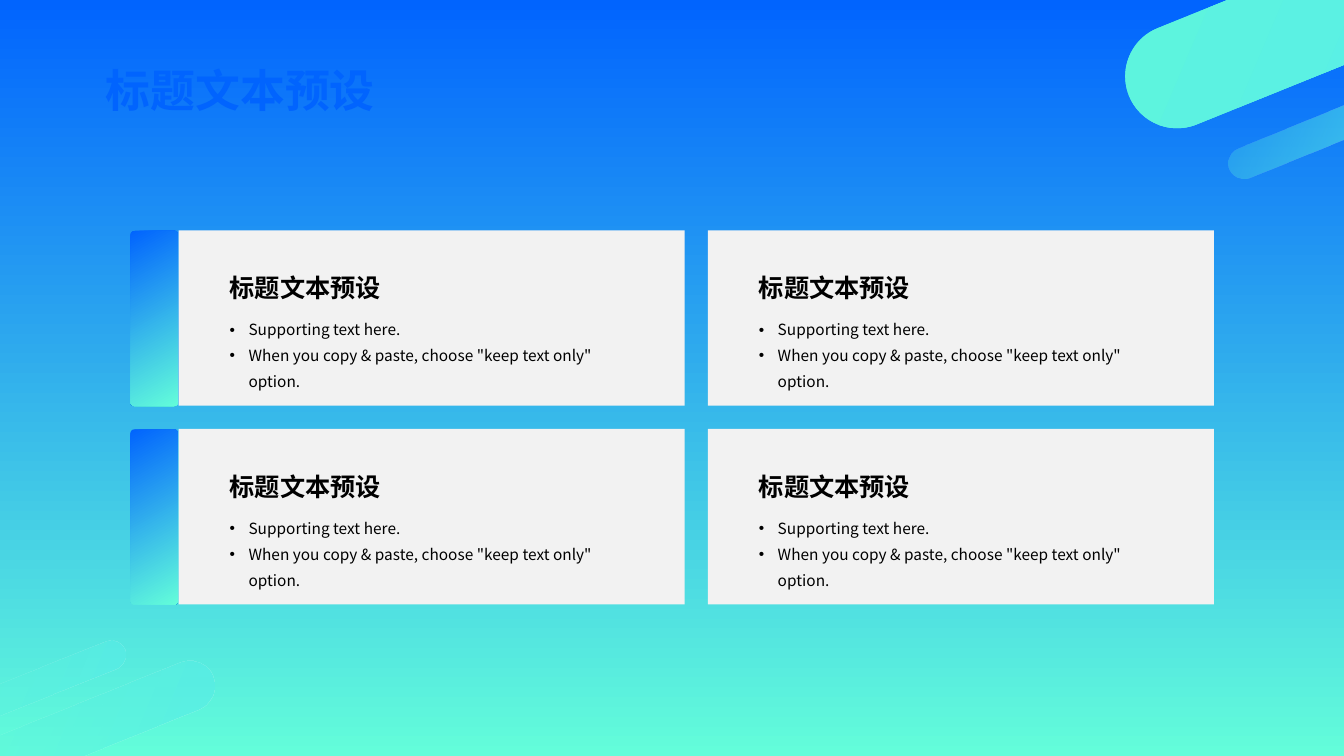
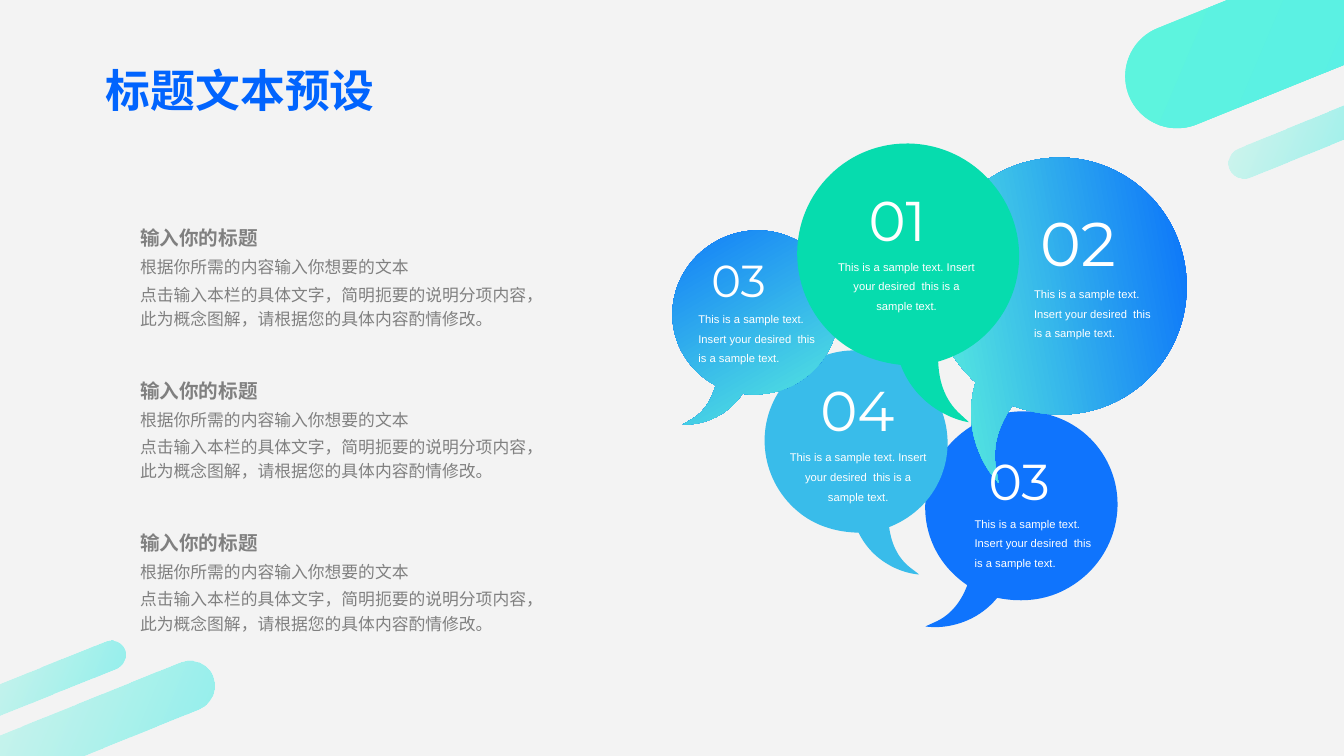
"""Build two slides: a grid of four cards and a cluster of speech bubbles."""
from dataclasses import dataclass
from itertools import product
from typing import NamedTuple, Optional, Sequence, Union

from lxml.etree import Element, SubElement
from pptx import Presentation
from pptx.dml.color import RGBColor
from pptx.enum.shapes import MSO_SHAPE
from pptx.enum.text import MSO_ANCHOR, MSO_AUTO_SIZE, PP_ALIGN
from pptx.oxml.ns import qn
from pptx.util import Emu, Length, Pt

COLUMNS, ROWS = 160, 90
CELL = 76200

BLUE, MINT, WHITE = "0164FE", "63FDDA", "FFFFFF"
CJK = "Noto Sans CJK SC"
TITLE = "标题文本预设"
CARD_POINTS = ("Supporting text here.",
               'When you copy & paste, choose "keep text only" option.')
SAMPLE = "This is a sample text. Insert your desired  this is a sample text."
TOPIC = (
    "输入你的标题",
    "根据你所需的内容输入你想要的文本",
    "点击输入本栏的具体文字，简明扼要的说明分项内容，"
    "此为概念图解，请根据您的具体内容酌情修改。",
)


class Box(NamedTuple):
    left: float
    top: float
    width: float
    height: float

    def emu(self) -> list[Length]:
        return [cells(value) for value in self]

    def shifted(self, right: float, down: float) -> "Box":
        return self._replace(left=self.left + right, top=self.top + down)


class Gradient(NamedTuple):
    start: str
    end: str
    angle: float
    opacities: Optional[tuple[int, int]] = None


Paint = Union[str, Gradient]


@dataclass(frozen=True)
class Style:
    size: float
    color: str
    font: str = CJK
    bold: bool = False
    spacing: Union[float, Length, None] = None
    before: float = 0
    align: PP_ALIGN = PP_ALIGN.LEFT
    bullet: bool = False


@dataclass(frozen=True)
class Pill:
    box: Box
    paint: Gradient


@dataclass(frozen=True)
class Bubble:
    number: str
    box: Box
    rotation: float
    paint: Paint
    number_at: tuple[float, float]
    number_size: int
    sample_at: tuple[float, float]
    centered: bool = False
    mirrored: bool = False


SOLID_PILL = Gradient("5EF5DC", "58EDEA", 45)
FADED_PILL = SOLID_PILL._replace(opacities=(20, 66))
PILLS = (
    Pill(Box(132.72, -3.48, 46.44, 12.36), SOLID_PILL),
    Pill(Box(145.68, 14.4, 20.4, 3.72), FADED_PILL),
    Pill(Box(-5.4, 83.52, 31.92, 6), FADED_PILL),
    Pill(Box(-4.56, 79.32, 20.16, 3.48), FADED_PILL),
)
DOWNWARD = Gradient(BLUE, MINT, 90)
BAR_PAINT = Gradient(BLUE, MINT, 150)

BUBBLES = (
    Bubble("03", Box(105.48, 50.04, 27.84, 22.44), 335.5, "0F74FD",
           (116.52, 53.04), 36, (114.84, 60.24), mirrored=True),
    Bubble("02", Box(108.12, 22.08, 37.08, 30.36), 79.9, DOWNWARD,
           (122.64, 23.76), 44, (121.92, 32.88)),
    Bubble("04", Box(90.48, 43.2, 26.52, 21.6), 37.4, "39BCEA",
           (96.48, 44.16), 40, (92.76, 52.32), centered=True),
    Bubble("03", Box(76.08, 28.56, 24.12, 19.44), 330, DOWNWARD,
           (83.52, 29.52), 32, (81.96, 35.88), mirrored=True),
    Bubble("01", Box(94.08, 19.08, 32.16, 26.28), 42.8, "06DCAE",
           (102.24, 21.48), 40, (98.52, 29.64), centered=True),
)
TEXT_ORDER = (4, 1, 0, 2, 3)
OUTLINE_WIDTH, OUTLINE_HEIGHT = 309, 253
OUTLINE_START = (127, 0)
OUTLINE_CURVES = (
    ((198, 0), (255, 56), (255, 126)),
    ((255, 150), (248, 173), (236, 193)),
    ((249, 206), (269, 221), (297, 220)),
    ((301, 220), (305, 220), (309, 220)),
    ((309, 220), (287, 236), (253, 236)),
    ((239, 236), (223, 233), (207, 225)),
    ((184, 242), (157, 253), (128, 253)),
    ((57, 253), (0, 196), (0, 126)),
    ((0, 56), (57, 0), OUTLINE_START),
)


def cells(count: float) -> Length:
    return Emu(round(count * CELL))


def rgb(color: str) -> RGBColor:
    return RGBColor.from_string(color)


def apply_paint(fill, paint: Paint) -> None:
    if isinstance(paint, str):
        fill.solid()
        fill.fore_color.rgb = rgb(paint)
        return
    fill.gradient()
    fill.gradient_angle = (360 - paint.angle) % 360
    for stop, color, position in zip(fill.gradient_stops, paint[:2], (0, 1)):
        stop.color.rgb = rgb(color)
        stop.position = position


def finish(shape, paint: Paint, rotation: float = 0) -> None:
    shape.shadow.inherit = False
    shape.line.fill.background()
    shape.rotation = rotation
    apply_paint(shape.fill, paint)
    if isinstance(paint, Gradient) and paint.opacities:
        stops = shape._element.spPr.iter(qn("a:srgbClr"))
        for stop, opacity in zip(stops, paint.opacities):
            SubElement(stop, qn("a:alpha")).set("val", str(opacity * 1000))


def add_panel(slide, kind: MSO_SHAPE, box: Box, paint: Paint,
              rotation: float = 0, rounding: Optional[float] = None) -> None:
    panel = slide.shapes.add_shape(kind, *box.emu())
    if rounding is not None:
        panel.adjustments[0] = rounding
    finish(panel, paint, rotation)


def format_paragraph(paragraph, style: Style) -> None:
    properties = paragraph._p.get_or_add_pPr()
    if style.bullet:
        properties.set("marL", str(cells(2.25)))
        properties.set("indent", str(-cells(2.25)))
        SubElement(properties, qn("a:buFont")).set("typeface", "Arial")
        SubElement(properties, qn("a:buChar")).set("char", "•")
    paragraph.alignment = style.align
    if style.spacing:
        paragraph.line_spacing = style.spacing
    if style.before:
        paragraph.space_before = Pt(style.before)
    font = paragraph.font
    font.size, font.bold, font.name = Pt(style.size), style.bold, style.font
    font.color.rgb = rgb(style.color)
    defaults = properties.find(qn("a:defRPr"))
    SubElement(defaults, qn("a:ea")).set("typeface", style.font)


def add_text(slide, box: Box, lines: Sequence[tuple[str, Style]],
             wrap: bool = True, grow: bool = False,
             anchor: MSO_ANCHOR = MSO_ANCHOR.TOP,
             inset: tuple[float, float] = (1.2, 0.6)) -> None:
    frame = slide.shapes.add_textbox(*box.emu()).text_frame
    frame.word_wrap = wrap
    frame.vertical_anchor = anchor
    frame.auto_size = MSO_AUTO_SIZE.SHAPE_TO_FIT_TEXT if grow else MSO_AUTO_SIZE.NONE
    frame.margin_left = frame.margin_right = cells(inset[0])
    frame.margin_top = frame.margin_bottom = cells(inset[1])
    for index, (words, style) in enumerate(lines):
        paragraph = frame.add_paragraph() if index else frame.paragraphs[0]
        paragraph.text = words
        format_paragraph(paragraph, style)


def add_base_slide(deck, background: Paint):
    slide = deck.slides.add_slide(deck.slide_layouts[5])
    apply_paint(slide.background.fill, background)
    title = slide.shapes.title
    title.left, title.top, title.width, title.height = Box(11.4, 6.84, 51.24, 7.68).emu()
    title.text_frame.text = TITLE
    title.text_frame.vertical_anchor = MSO_ANCHOR.MIDDLE
    format_paragraph(title.text_frame.paragraphs[0], Style(32, BLUE, bold=True))
    for pill in PILLS:
        add_panel(slide, MSO_SHAPE.ROUNDED_RECTANGLE, pill.box, pill.paint, 338, 0.5)
    return slide


def add_cards(slide) -> None:
    first_card, first_bar = Box(21.27, 27.42, 60.24, 20.88), Box(7.92, 35.08, 20.88, 5.64)
    column_step, row_step = 63, 23.65
    cards = [first_card.shifted(column * column_step, row * row_step)
             for row, column in product(range(2), repeat=2)]
    heading = Style(18, "000000", bold=True)
    point = Style(11, "000000", spacing=1.4, bullet=True)
    for card in cards:
        add_panel(slide, MSO_SHAPE.RECTANGLE, card, "F2F2F2")
    for row in range(2):
        add_panel(slide, MSO_SHAPE.ROUNDED_RECTANGLE,
                  first_bar.shifted(0, row * row_step), BAR_PAINT, 270, 0.08)
    for card in cards:
        left = card.left + 4.89
        add_text(slide, Box(left, card.top + 9.27, 50.52, 7.56),
                 [(words, point) for words in CARD_POINTS])
        add_text(slide, Box(left, card.top + 4.08, 50.52, 5.16),
                 [(TITLE, heading)], wrap=False, anchor=MSO_ANCHOR.BOTTOM)


def add_bubble(slide, bubble: Bubble) -> None:
    def place(point: tuple[int, int]) -> tuple[int, int]:
        x, y = point
        return (OUTLINE_WIDTH - x if bubble.mirrored else x), y

    left, top, width, height = bubble.box.emu()
    builder = slide.shapes.build_freeform(
        *place(OUTLINE_START), scale=(width / OUTLINE_WIDTH, height / OUTLINE_HEIGHT))
    builder.add_line_segments([place(curve[-1]) for curve in OUTLINE_CURVES], close=True)
    balloon = builder.convert_to_shape(left, top)
    segments = list(balloon._element.spPr.iter(qn("a:lnTo")))
    for segment, controls in zip(segments, OUTLINE_CURVES):
        curve = Element(qn("a:cubicBezTo"))
        for x, y in map(place, controls):
            corner = SubElement(curve, qn("a:pt"))
            corner.set("x", str(x))
            corner.set("y", str(y))
        segment.getparent().replace(segment, curve)
    finish(balloon, bubble.paint, bubble.rotation)


def add_bubble_text(slide, bubble: Bubble) -> None:
    size = bubble.number_size
    add_text(slide, Box(*bubble.number_at, size * 0.285, size * 0.23),
             [(bubble.number, Style(size, WHITE, "Montserrat"))], wrap=False, grow=True)
    align = PP_ALIGN.CENTER if bubble.centered else PP_ALIGN.LEFT
    width = 18.84 if bubble.centered else 16.56
    add_text(slide, Box(*bubble.sample_at, width, 8.28),
             [(SAMPLE, Style(8, WHITE, "Arial", spacing=Pt(14), align=align))], grow=True)


def add_topics(slide) -> None:
    first_topic, row_step = Box(14.76, 25.42, 51.48, 14.76), 18.12
    heading = Style(14, "808080", bold=True, spacing=1.2)
    detail = Style(12, "808080", spacing=1.2, before=2.4)
    for row in range(3):
        add_text(slide, first_topic.shifted(0, row * row_step),
                 list(zip(TOPIC, (heading, detail, detail))),
                 grow=True, inset=(1.92, 0.96))


def main() -> None:
    deck = Presentation()
    deck.slide_width, deck.slide_height = cells(COLUMNS), cells(ROWS)
    add_cards(add_base_slide(deck, DOWNWARD))
    bubble_slide = add_base_slide(deck, "F3F3F3")
    for bubble in BUBBLES:
        add_bubble(bubble_slide, bubble)
    for index in TEXT_ORDER:
        add_bubble_text(bubble_slide, BUBBLES[index])
    add_topics(bubble_slide)
    deck.save("out.pptx")


if __name__ == "__main__":
    main()
